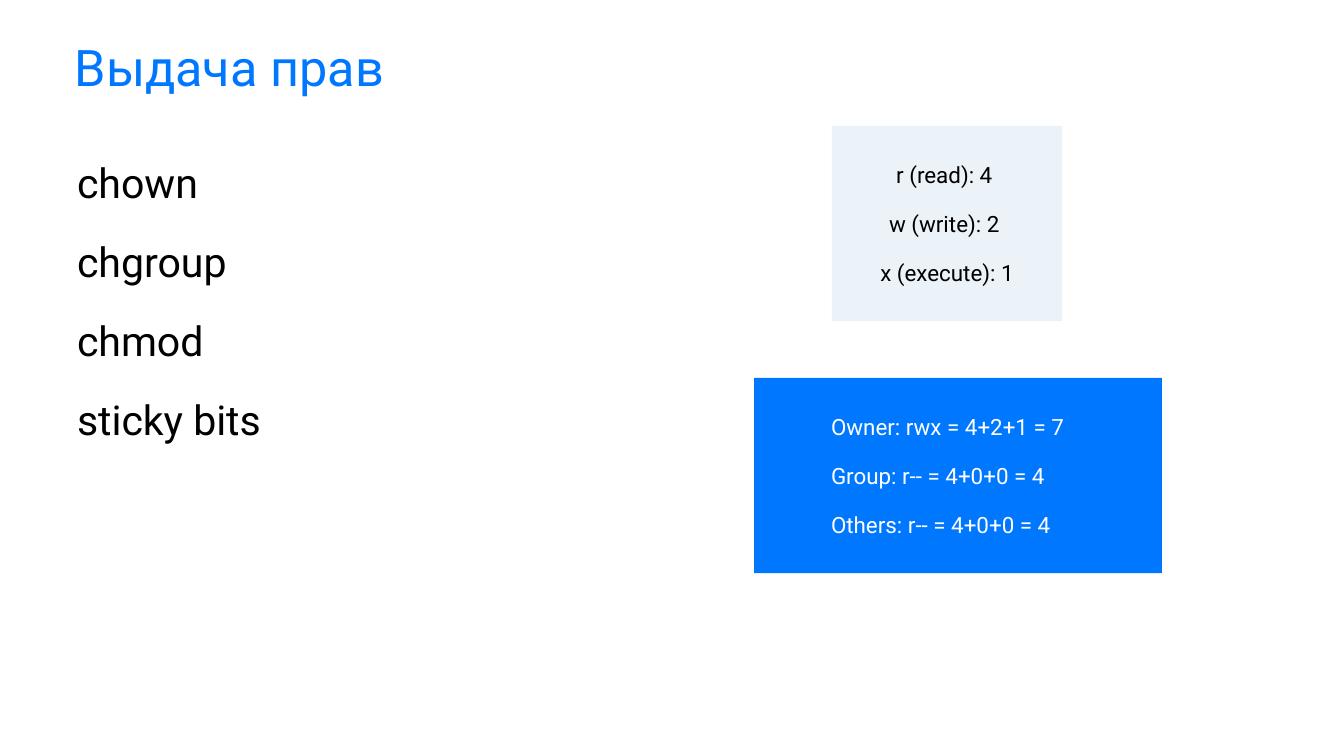
"""Build a slide on granting file permissions."""
from pptx import Presentation
from pptx.dml.color import RGBColor
from pptx.enum.shapes import MSO_SHAPE
from pptx.enum.text import MSO_ANCHOR, PP_ALIGN
from pptx.util import Pt

RECTANGLE = MSO_SHAPE.RECTANGLE
TOP, MIDDLE = MSO_ANCHOR.TOP, MSO_ANCHOR.MIDDLE
LEFT, CENTER = PP_ALIGN.LEFT, PP_ALIGN.CENTER

COLORS = {"blue": "0077FF", "pale": "EBF3F9", "black": "000000", "white": "FFFFFF"}
FONT = "Roboto"
SLIDE_SIZE = (720, 405)
PARAGRAPH_GAP = 12

BLOCKS = [
    {
        "lines": ["Выдача прав"],
        "at": (40, 23, 641, 38), "inset": (0, 0),
        "size": 27, "color": "blue", "spacing": 0.9,
    },
    {
        "lines": ["r (read): 4 ", "w (write): 2 ", "x (execute): 1"],
        "at": (445.7, 67.5, 123.4, 104.6), "inset": (5.2, 2.8),
        "fill": "pale", "size": 12, "color": "black", "align": CENTER,
    },
    {
        "lines": ["Owner: rwx = 4+2+1 = 7", "Group: r-- = 4+0+0 = 4",
                  "Others: r-- = 4+0+0 = 4"],
        "at": (404, 202.5, 218.4, 104.6), "inset": (5.2, 2.8),
        "fill": "blue", "size": 12, "color": "white", "indent": 36,
    },
    {
        "lines": ["chown", "chgroup", "chmod", "sticky bits"],
        "at": (34.2, 73.4, 293, 228.2), "inset": (7.2, 7.2),
        "size": 22, "color": "black", "spacing": 1.15,
    },
]


def set_all(target, values):
    for name, value in values.items():
        setattr(target, name, value)


def rgb(name):
    return RGBColor.from_string(COLORS[name])


def add_box(page, block):
    place = [Pt(length) for length in block["at"]]
    if "fill" not in block:
        return page.shapes.add_textbox(*place)
    box = page.shapes.add_shape(RECTANGLE, *place)
    box.shadow.inherit = False
    box.fill.solid()
    box.fill.fore_color.rgb = rgb(block["fill"])
    box.line.fill.background()
    return box


def add_lines(frame, block):
    side, edge = (Pt(length) for length in block["inset"])
    set_all(frame, {
        "word_wrap": True,
        "vertical_anchor": MIDDLE if "fill" in block else TOP,
        "margin_left": side, "margin_right": side,
        "margin_top": edge, "margin_bottom": edge,
    })
    for index, line in enumerate(block["lines"]):
        para = frame.add_paragraph() if index else frame.paragraphs[0]
        set_all(para, {
            "alignment": block.get("align", LEFT),
            "line_spacing": block.get("spacing", 1.0),
            "space_before": Pt(PARAGRAPH_GAP if index else 0),
        })
        if "indent" in block:
            para._p.get_or_add_pPr().set("marL", str(Pt(block["indent"])))
        span = para.add_run()
        span.text = line
        set_all(span.font, {"name": FONT, "size": Pt(block["size"])})
        span.font.color.rgb = rgb(block["color"])


def main():
    deck = Presentation()
    deck.slide_width, deck.slide_height = (Pt(length) for length in SLIDE_SIZE)
    page = deck.slides.add_slide(deck.slide_layouts[6])
    for block in BLOCKS:
        add_lines(add_box(page, block).text_frame, block)
    deck.save("out.pptx")


if __name__ == "__main__":
    main()
